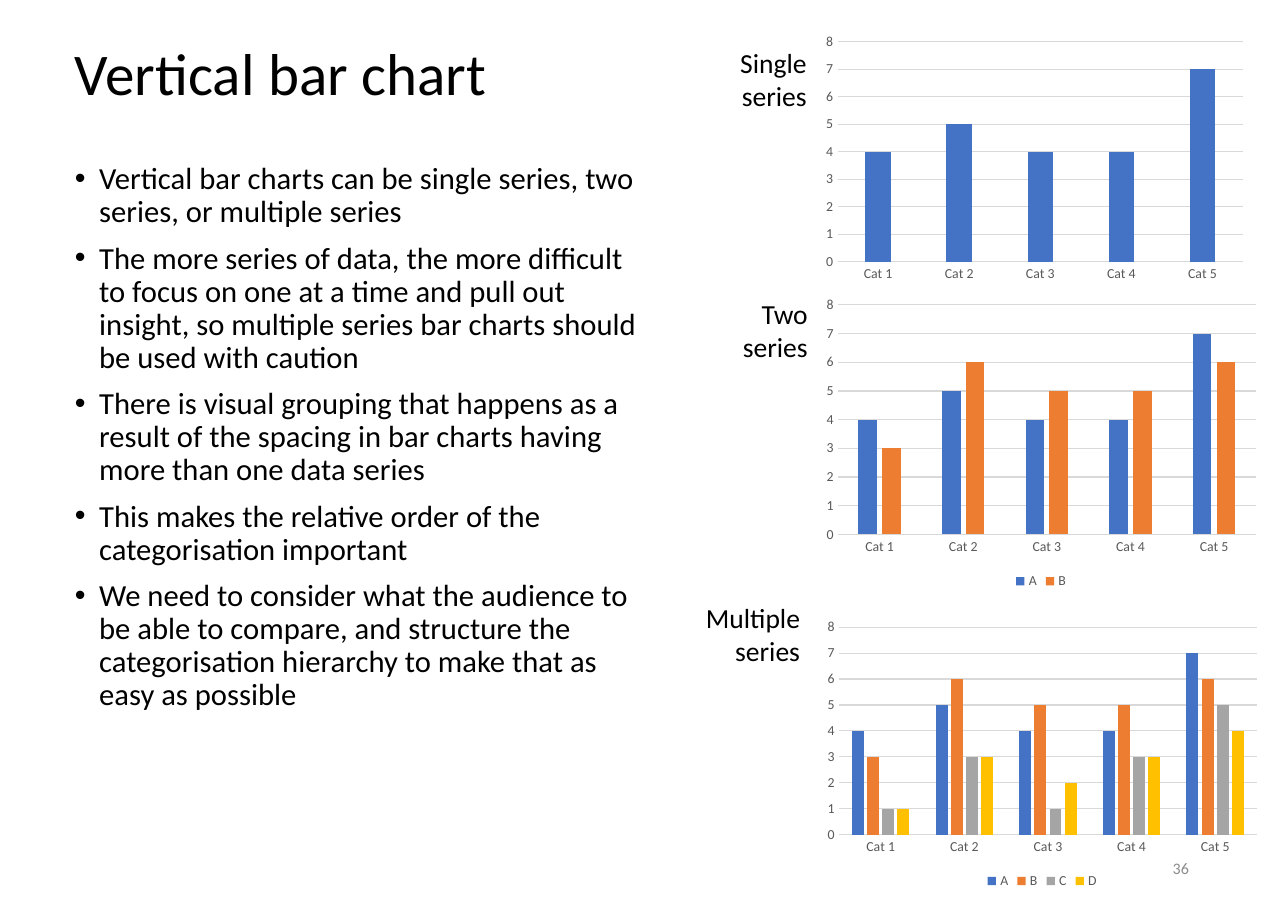
from dataclasses import dataclass

from lxml.etree import SubElement
from pptx import Presentation
from pptx.chart.data import CategoryChartData
from pptx.dml.color import RGBColor
from pptx.enum.chart import XL_CHART_TYPE, XL_LEGEND_POSITION, XL_TICK_MARK
from pptx.enum.text import MSO_ANCHOR, MSO_AUTO_SIZE, PP_ALIGN
from pptx.oxml.ns import qn
from pptx.util import Inches, Pt

TITLE = "Vertical bar chart"
BULLETS = [
    "Vertical bar charts can be single series, two series, or multiple series",
    "The more series of data, the more difficult to focus on one at a time and pull out "
    "insight, so multiple series bar charts should be used with caution",
    "There is visual grouping that happens as a result of the spacing in bar charts having "
    "more than one data series",
    "This makes the relative order of the categorisation important",
    "We need to consider what the audience to be able to compare, and structure the "
    "categorisation hierarchy to make that as easy as possible",
]
PAGE_NUMBER = "36"
CATEGORIES = [f"Cat {number}" for number in range(1, 6)]
SERIES = {
    "A": (4, 5, 4, 4, 7),
    "B": (3, 6, 5, 5, 6),
    "C": (1, 3, 1, 3, 5),
    "D": (1, 3, 2, 3, 4),
}
# label, label place, series names, chart place (left, top, width, height)
CHARTS = [
    ("Single\nseries", (6.6, 0.37, 0.82, 0.71), "A", (7.42, 0.26, 3.94, 2.35)),
    ("Two\nseries", (6.62, 2.65, 0.81, 0.71), "AB", (7.42, 2.64, 4.06, 2.75)),
    ("Multiple\nseries", (6.27, 5.41, 1.09, 0.71), "ABCD", (7.43, 5.57, 4.06, 2.54)),
]


@dataclass(frozen=True)
class Theme:
    font: str = "Calibri"
    text: str = "000000"
    muted: str = "8C8C8C"
    axis_text: str = "595959"
    grid: str = "D9D9D9"
    series: tuple = ("4472C4", "ED7D31", "A5A5A5", "FFC000")
    title_size: float = 38.6
    body_size: float = 20
    label_size: float = 18
    number_size: float = 10.5
    chart_size: float = 10
    axis_size: float = 9


THEME = Theme()


def style_font(font, size, color):
    font.name = THEME.font
    font.size = Pt(size)
    font.color.rgb = RGBColor.from_string(color)


def place(shape, position):
    shape.left, shape.top, shape.width, shape.height = map(Inches, position)


def add_bullet(para):
    properties = para._p.get_or_add_pPr()
    properties.set("marL", str(Inches(0.22)))
    properties.set("indent", str(Inches(-0.22)))
    SubElement(properties, qn("a:buFont"), typeface="Arial")
    SubElement(properties, qn("a:buChar"), char="•")


def write(box, texts, size, color=THEME.text, align=PP_ALIGN.LEFT, anchor=MSO_ANCHOR.TOP,
          wrap=True, grow=False, spacing=1.0, before=0, bullets=False):
    """Fill a text shape with one paragraph per text; a newline is a line break."""
    frame = box.text_frame
    frame.word_wrap = wrap
    frame.auto_size = MSO_AUTO_SIZE.SHAPE_TO_FIT_TEXT if grow else MSO_AUTO_SIZE.NONE
    frame.vertical_anchor = anchor
    for index, text in enumerate(texts):
        para = frame.add_paragraph() if index else frame.paragraphs[0]
        para.text = text
        para.alignment = align
        para.line_spacing = spacing
        para.space_before = Pt(before if index else 0)
        if bullets:
            add_bullet(para)
        for span in para.runs:
            style_font(span.font, size, color)


def add_text(page, position, text, size, **formats):
    box = page.shapes.add_textbox(*map(Inches, position))
    write(box, [text], size, **formats)


def style_axis(axis):
    axis.major_tick_mark = axis.minor_tick_mark = XL_TICK_MARK.NONE
    style_font(axis.tick_labels.font, THEME.axis_size, THEME.axis_text)


def style_line(line):
    line.color.rgb = RGBColor.from_string(THEME.grid)
    line.width = Pt(0.75)


def add_bar_chart(page, position, names):
    data = CategoryChartData()
    data.categories = CATEGORIES
    for name in names:
        data.add_series(name if len(names) > 1 else "Series 1", SERIES[name])
    chart = page.shapes.add_chart(
        XL_CHART_TYPE.COLUMN_CLUSTERED, *map(Inches, position), data).chart
    style_font(chart.font, THEME.chart_size, THEME.text)
    chart.has_title = False

    chart.has_legend = len(names) > 1
    if chart.has_legend:
        chart.legend.position = XL_LEGEND_POSITION.BOTTOM
        chart.legend.include_in_layout = False
        style_font(chart.legend.font, THEME.axis_size, THEME.axis_text)

    style_axis(chart.category_axis)
    style_line(chart.category_axis.format.line)
    values = chart.value_axis
    style_axis(values)
    values.minimum_scale, values.maximum_scale, values.major_unit = 0, 8, 1
    values.format.line.fill.background()
    values.has_major_gridlines = True
    style_line(values.major_gridlines.format.line)

    plot = chart.plots[0]
    plot.gap_width, plot.overlap = 219, -27
    plot.vary_by_categories = False
    for series, color in zip(plot.series, THEME.series):
        series.format.fill.solid()
        series.format.fill.fore_color.rgb = RGBColor.from_string(color)


def main():
    deck = Presentation()
    deck.slide_width, deck.slide_height = Inches(11.69), Inches(8.27)
    page = deck.slides.add_slide(deck.slide_layouts[1])

    title, body = page.shapes.title, page.placeholders[1]
    place(title, (0.58, 0, 6.68, 1.38))
    write(title, [TITLE], THEME.title_size, anchor=MSO_ANCHOR.MIDDLE, spacing=0.9)
    place(body, (0.58, 1.43, 5.42, 5.61))
    write(body, BULLETS, THEME.body_size, spacing=0.9, before=8.8, bullets=True)

    add_text(page, (8.26, 7.66, 2.63, 0.44), PAGE_NUMBER, THEME.number_size,
             color=THEME.muted, align=PP_ALIGN.RIGHT, anchor=MSO_ANCHOR.MIDDLE)
    for label, label_place, names, chart_place in CHARTS:
        add_bar_chart(page, chart_place, names)
        add_text(page, label_place, label, THEME.label_size,
                 align=PP_ALIGN.RIGHT, wrap=False, grow=True)

    deck.save("out.pptx")


if __name__ == "__main__":
    main()
